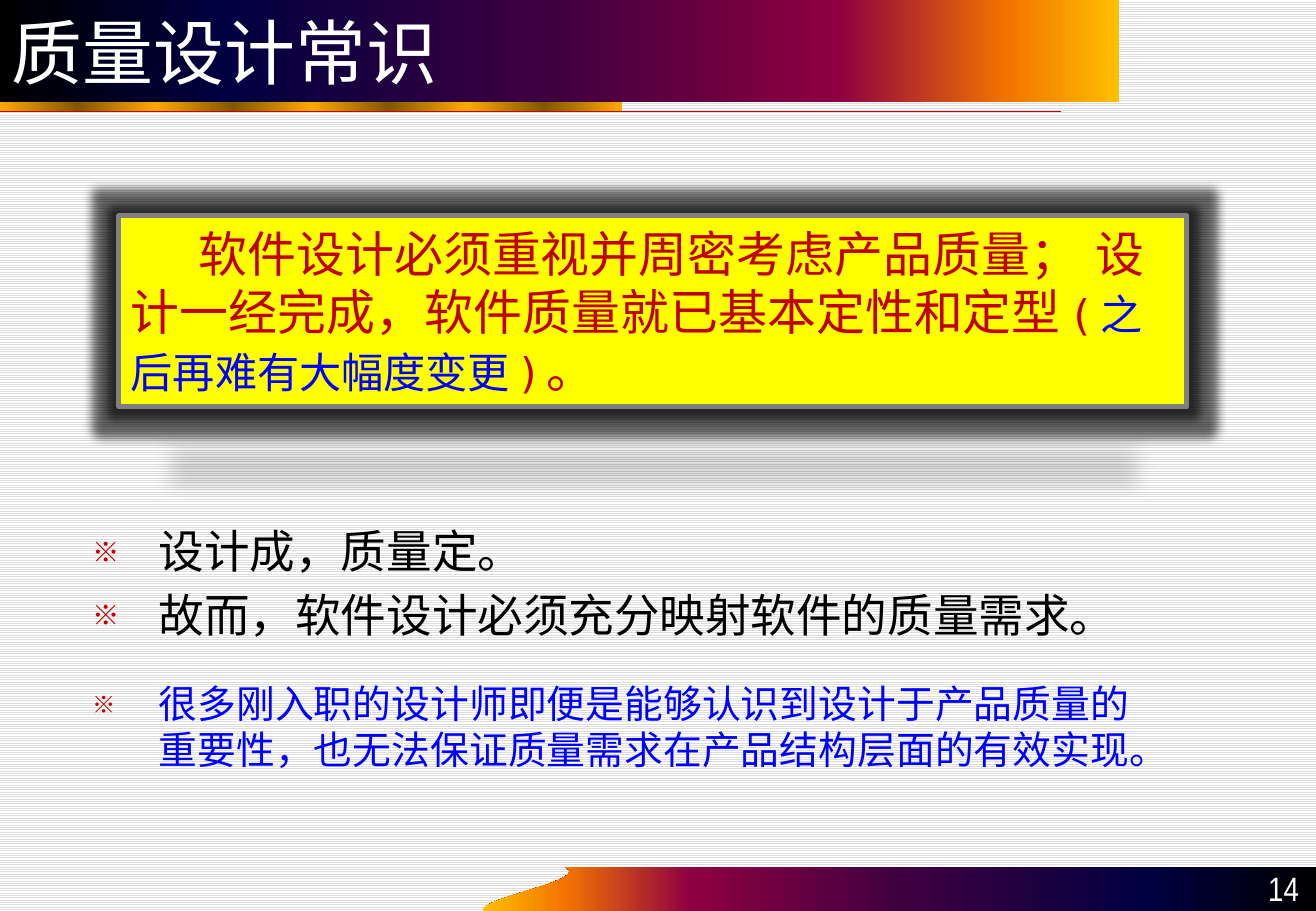
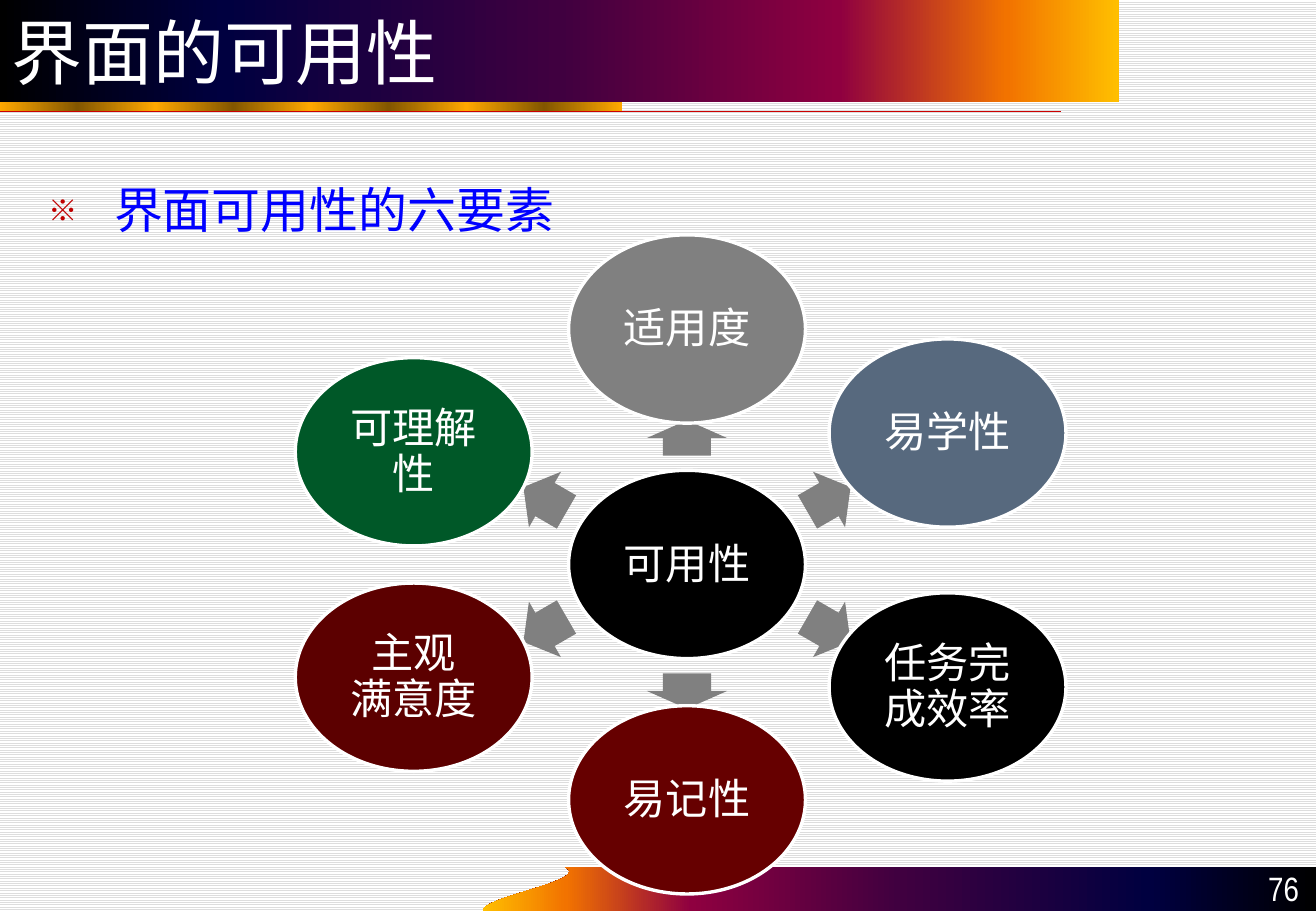
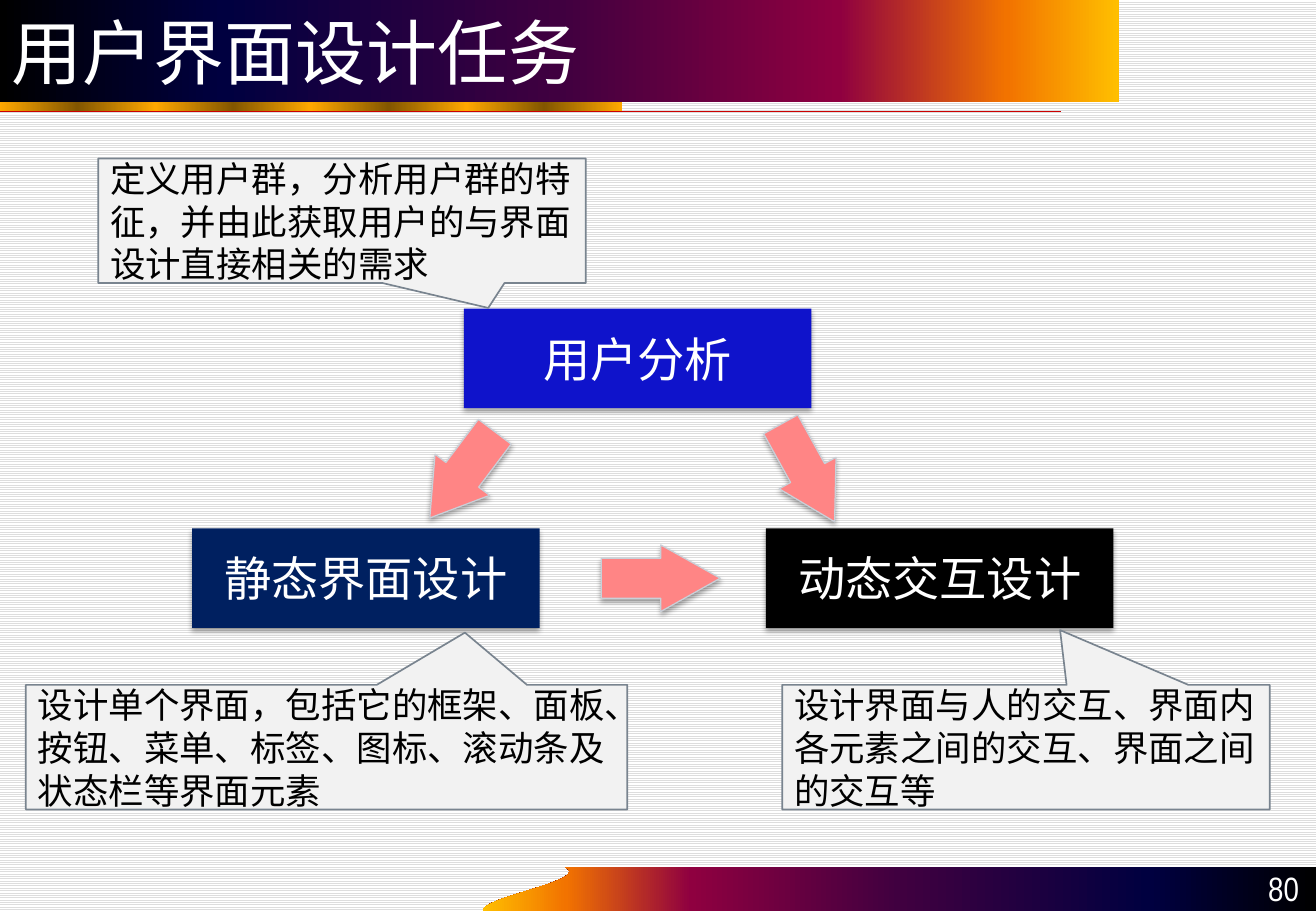
from math import cos, radians, sin

from lxml import etree
from pptx import Presentation
from pptx.dml.color import RGBColor
from pptx.enum.dml import MSO_PATTERN
from pptx.enum.shapes import MSO_CONNECTOR, MSO_SHAPE as SHAPE
from pptx.enum.text import MSO_ANCHOR as ANCHOR, PP_ALIGN as ALIGN
from pptx.oxml import parse_xml
from pptx.oxml.ns import nsdecls, qn
from pptx.util import Pt

# Colours and fonts
WHITE = RGBColor(0xFF, 0xFF, 0xFF)
BLACK = RGBColor(0, 0, 0)
STRIPE = RGBColor(0xDD, 0xDD, 0xDD)
GRAY = RGBColor(0x80, 0x80, 0x80)
RULE_RED = RGBColor(0xCC, 0, 0)
DARK_RED = RGBColor(0xC0, 0, 0)
BLUE = RGBColor(0, 0, 0xFF)
YELLOW = RGBColor(0xFF, 0xFF, 0)
SLATE = RGBColor(0x57, 0x69, 0x7E)
MAROON = RGBColor(0x66, 0, 0)
WINE = RGBColor(0x5C, 0, 0)
GREEN = RGBColor(0, 0x58, 0x28)
ROYAL = RGBColor(0x0F, 0x13, 0xCB)
NAVY = RGBColor(0, 0x20, 0x60)
PINK = RGBColor(0xFF, 0x85, 0x85)
PALE_EDGE = RGBColor(0xC9, 0xD0, 0xD8)
NOTE_FILL = RGBColor(0xF2, 0xF2, 0xF2)
NOTE_EDGE = RGBColor(0x79, 0x84, 0x8F)
SUNSET = [(0, "000000"), (20, "000040"), (50, "400040"),
          (75, "8F0040"), (90, "F27300"), (100, "FFBF00")]
GOLD = [(12.5 * i, ("FFA800", "825600")[i % 2]) for i in range(9)]
SANS, CJK, NARROW = "DejaVu Sans", "Noto Sans CJK SC", "Arial Narrow"

SOFT_SHADOW = ('<a:outerShdw %s blurRad="40000" dist="23000" dir="5400000" rotWithShape="0">'
               '<a:srgbClr val="000000"><a:alpha val="35000"/></a:srgbClr></a:outerShdw>')
GLOW = ('<a:glow %s rad="139700"><a:srgbClr val="000000">'
        '<a:alpha val="60000"/></a:srgbClr></a:glow>')
FLOOR_SHADOW = ('<a:outerShdw %s blurRad="152400" dist="317500" dir="5400000" '
                'sx="90000" sy="-19000" rotWithShape="0"><a:srgbClr val="000000">'
                '<a:alpha val="15000"/></a:srgbClr></a:outerShdw>')


def add_block(slide, kind, box, fill, edge=None, weight=0, effects=(), **formats):
    """Add a preset shape; box is left, top, width, height in points."""
    block = slide.shapes.add_shape(kind, *map(Pt, box))
    block.shadow.inherit = False
    for effect in effects:
        block._element.spPr.find(qn("a:effectLst")).append(
            parse_xml(effect % nsdecls("a")))
    block.fill.solid()
    block.fill.fore_color.rgb = fill
    if edge is None:
        block.line.fill.background()
    else:
        block.line.color.rgb = edge
        block.line.width = Pt(weight)
    if kind == SHAPE.RIGHT_ARROW:
        block.adjustments[0] = 0.6
        block.adjustments[1] = box[2] / 2 / min(box[2:])
    for name, value in formats.items():
        setattr(block, name, value)
    return block


def write(shape, runs, face, anchor=ANCHOR.MIDDLE, leading=1.19, **formats):
    """Add a paragraph of (text, size, colour) runs to a shape."""
    frame = shape.text_frame
    frame.word_wrap, frame.vertical_anchor = True, anchor
    paragraph = frame.paragraphs[0]
    if paragraph.runs:
        paragraph = frame.add_paragraph()
    layout = {"alignment": ALIGN.LEFT,
              "line_spacing": Pt(round(runs[0][1] * leading, 1)), **formats}
    for name, value in layout.items():
        setattr(paragraph, name, value)
    for text, size, color in runs:
        for i, line in enumerate(text.split("\n")):
            if i:
                paragraph.add_line_break()
            run = paragraph.add_run()
            run.text = line
            for name, value in {"size": Pt(size), "name": face, "bold": False}.items():
                setattr(run.font, name, value)
            run.font.color.rgb = color
            etree.SubElement(run._r.rPr, qn("a:ea")).set("typeface", face)
    return paragraph


prs = Presentation()
prs.slide_width, prs.slide_height = Pt(780), Pt(540)

# Striped background for all slides
backdrop = prs.slide_master.background.fill
backdrop.patterned()
backdrop.pattern = MSO_PATTERN.LIGHT_HORIZONTAL
backdrop.fore_color.rgb, backdrop.back_color.rgb = STRIPE, WHITE

# Left edge of the footer: a cubic curve from bottom to top
CURVE = [(286, 540), (286, 531.5), (350.5, 522), (335, 514)]
footer_edge = []
for step in range(21):
    t = step / 20
    weights = ((1 - t) ** 3, 3 * t * (1 - t) ** 2, 3 * t * t * (1 - t), t ** 3)
    footer_edge.append(tuple(sum(w * p[axis] for w, p in zip(weights, CURVE))
                             for axis in (0, 1)))

# Title, bands and page number, the same on every slide
slides = []
for heading, number in [("质量设计常识", "14"), ("界面的可用性", "76"),
                        ("用户界面设计任务", "80")]:
    slide = prs.slides.add_slide(prs.slide_layouts[6])
    slides.append(slide)
    outline = slide.shapes.build_freeform(Pt(780), Pt(514), scale=1.0)
    outline.add_line_segments([(Pt(x), Pt(y)) for x, y in [(780, 540), *footer_edge]])
    footer = outline.convert_to_shape()
    footer.shadow.inherit = False
    footer.line.fill.background()
    gold_band = add_block(slide, SHAPE.RECTANGLE, (0, 55, 368.6, 11), WHITE)
    rule = slide.shapes.add_connector(MSO_CONNECTOR.STRAIGHT, 0, Pt(66), Pt(629), Pt(66))
    rule.line.color.rgb, rule.line.width = RULE_RED, Pt(0.75)
    etree.SubElement(rule._element.spPr, qn("a:effectLst"))
    title = add_block(slide, SHAPE.RECTANGLE, (0, 0, 663, 60.5), WHITE)
    write(title, [(heading, 42, WHITE)], SANS)
    for band, stops, angle in [(footer, SUNSET, 180), (gold_band, GOLD, 0),
                               (title, SUNSET, 0)]:
        band.fill.gradient()
        band.fill.gradient_angle = angle
        stop_list = band._element.spPr.find(qn("a:gradFill")).find(qn("a:gsLst"))
        for old in list(stop_list):
            stop_list.remove(old)
        for position, color in stops:
            stop = etree.SubElement(stop_list, qn("a:gs"), pos=str(int(position * 1000)))
            etree.SubElement(stop, qn("a:srgbClr"), val=color)
    page = slide.shapes.add_textbox(Pt(708), Pt(513.5), Pt(69), Pt(28.5))
    write(page, [(number, 20, WHITE)], NARROW, ANCHOR.BOTTOM, alignment=ALIGN.RIGHT)

quality, usability, tasks = slides

# Bulleted text on the first two slides
for slide, box, points in [
    (quality, (48, 307, 692, 161), [
        ("设计成，质量定。", 27, BLACK, 0),
        ("故而，软件设计必须充分映射软件的质量需求。", 27, BLACK, 5.4),
        ("很多刚入职的设计师即便是能够认识到设计于产品质量的\n"
         "重要性，也无法保证质量需求在产品结构层面的有效实现。", 23, BLUE, 23)]),
    (usability, (21.5, 103, 682.5, 54), [("界面可用性的六要素", 29, BLUE, 0)]),
]:
    body = slide.shapes.add_textbox(*map(Pt, box))
    for text, size, color, gap in points:
        point = write(body, [(text, size, color)], CJK, ANCHOR.TOP, space_before=Pt(gap))
        props = point._p.get_or_add_pPr()
        props.set("marL", str(Pt(39)))
        props.set("indent", str(-Pt(39)))
        bullet_color = etree.SubElement(props, qn("a:buClr"))
        etree.SubElement(bullet_color, qn("a:srgbClr"), val=str(DARK_RED))
        etree.SubElement(props, qn("a:buSzPct"), val="60000")
        etree.SubElement(props, qn("a:buFont"), typeface=CJK)
        etree.SubElement(props, qn("a:buChar"), char="※")

# Slide 1: key statement
statement = add_block(quality, SHAPE.RECTANGLE, (70.5, 128, 633, 113), YELLOW, GRAY, 3,
                      [GLOW, FLOOR_SHADOW])
claim = write(statement, [
    ("软件设计必须重视并周密考虑产品质量； 设计一经完成，软件质量就已基本定性和定型",
     29, DARK_RED),
    ("(", 25, DARK_RED), ("之后再难有大幅度变更", 25, BLUE),
    (")", 25, DARK_RED), ("。", 29, DARK_RED)], SANS)
claim._p.get_or_add_pPr().set("indent", str(Pt(40)))

# Slide 2: hub, and six factors clockwise from the top
HUB_X, HUB_Y, OVAL_W, OVAL_H = 407.2, 334.6, 140.4, 111.6
factors = [("可用性", BLACK, HUB_X, HUB_Y, None),
           ("适用度", GRAY, HUB_X, 195, 270),
           ("易学性", SLATE, 561.6, 256.7, 330),
           ("任务完成效率", BLACK, 561.6, 407.2, 30),
           ("易记性", MAROON, HUB_X, 474.1, 90),
           ("主观\n满意度", WINE, 245.2, 401.4, 150),
           ("可理解性", GREEN, 245.2, 267.8, 210)]
for label, fill, x, y, angle in factors:
    if angle is not None:
        width, height = (21, 47.5) if angle % 180 == 90 else (29.5, 38)
        arrow_x = HUB_X + 97.2 * cos(radians(angle))
        arrow_y = HUB_Y + (75 if angle % 180 == 90 else 77) * sin(radians(angle))
        add_block(usability, SHAPE.RIGHT_ARROW,
                  (arrow_x - width / 2, arrow_y - height / 2, width, height),
                  GRAY, rotation=angle)
    oval = add_block(usability, SHAPE.OVAL,
                     (x - OVAL_W / 2, y - OVAL_H / 2, OVAL_W, OVAL_H), fill, WHITE, 2)
    for side in ("left", "top", "right", "bottom"):
        setattr(oval.text_frame, "margin_" + side, 0)
    write(oval, [(label, 25, WHITE)], CJK, leading=1.09, alignment=ALIGN.CENTER)

# Slide 3: tasks
for label, fill, x, y in [("用户分析", ROYAL, 275, 183), ("静态界面设计", NAVY, 113.8, 313.2),
                          ("动态交互设计", BLACK, 454, 313.2)]:
    task = add_block(tasks, SHAPE.RECTANGLE, (x, y, 206, 59), fill, effects=[SOFT_SHADOW])
    write(task, [(label, 28, WHITE)], CJK, alignment=ALIGN.CENTER)

# Slide 3: arrows between tasks
for box, angle in [((242, 261.2, 64, 40.5), 127), ((445.7, 261.2, 66, 38.5), 61),
                   ((356.4, 323, 70.5, 39.5), 0)]:
    add_block(tasks, SHAPE.RIGHT_ARROW, box, PINK, PALE_EDGE, 0.75, [SOFT_SHADOW],
              rotation=angle)

# Slide 3: explanations
for text, x, y, width, pointer in [
    ("定义用户群，分析用户群的特征，并由此获取用户的与界面设计直接相关的需求",
     58.2, 94, 289, (0.3, 0.7)),
    ("设计界面与人的交互、界面内各元素之间的交互、界面之间的交互等",
     463.6, 406, 289, (0.07, -0.94)),
    ("设计单个界面，包括它的框架、面板、按钮、菜单、标签、图标、滚动条及状态栏等界面元素",
     15.3, 406, 356.5, (0.23, -0.92)),
]:
    note = add_block(tasks, SHAPE.RECTANGULAR_CALLOUT, (x, y, width, 73.8),
                     NOTE_FILL, NOTE_EDGE, 1)
    note.adjustments[0], note.adjustments[1] = pointer
    write(note, [(text, 21, BLACK)], CJK, leading=1.21)

prs.save("out.pptx")
